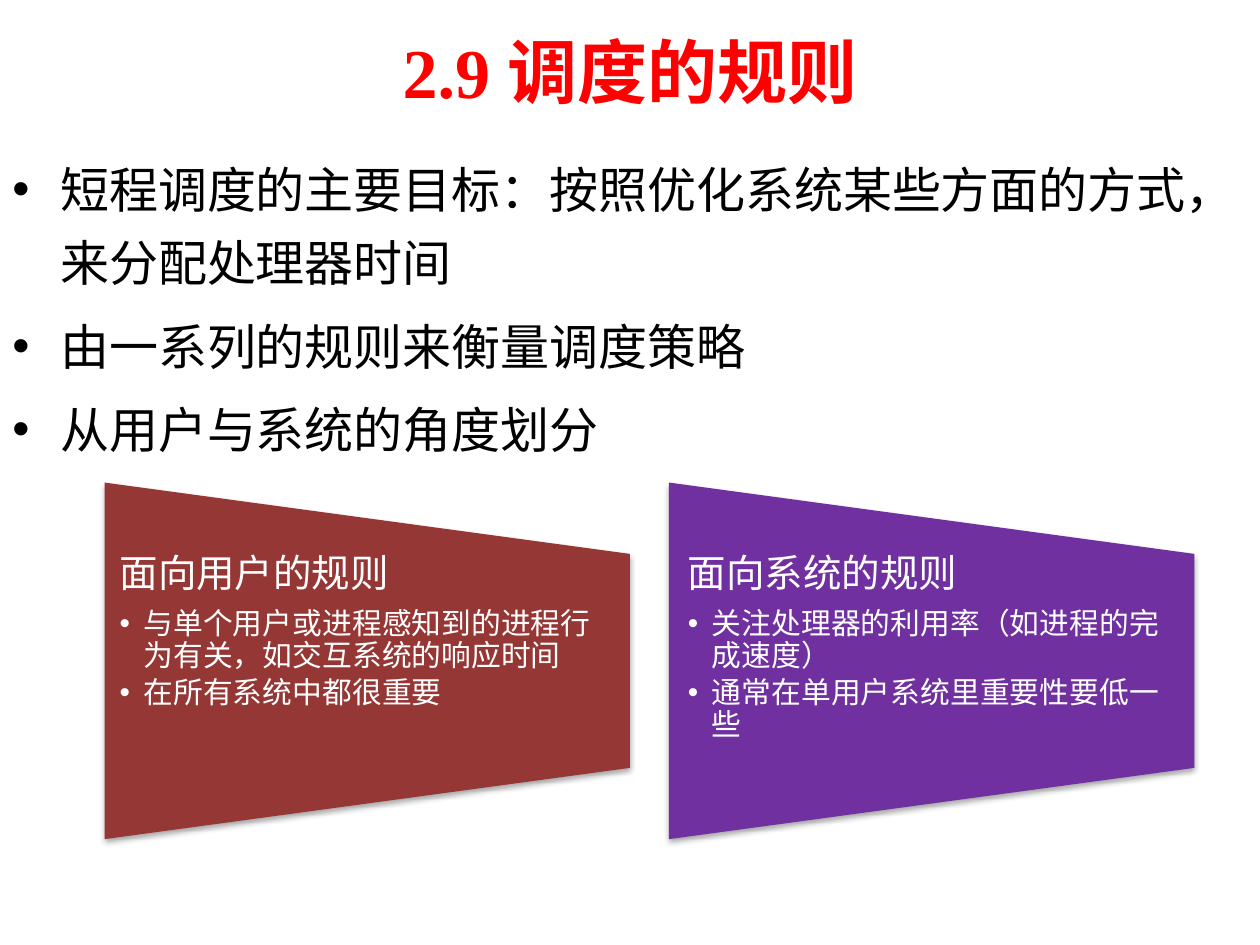
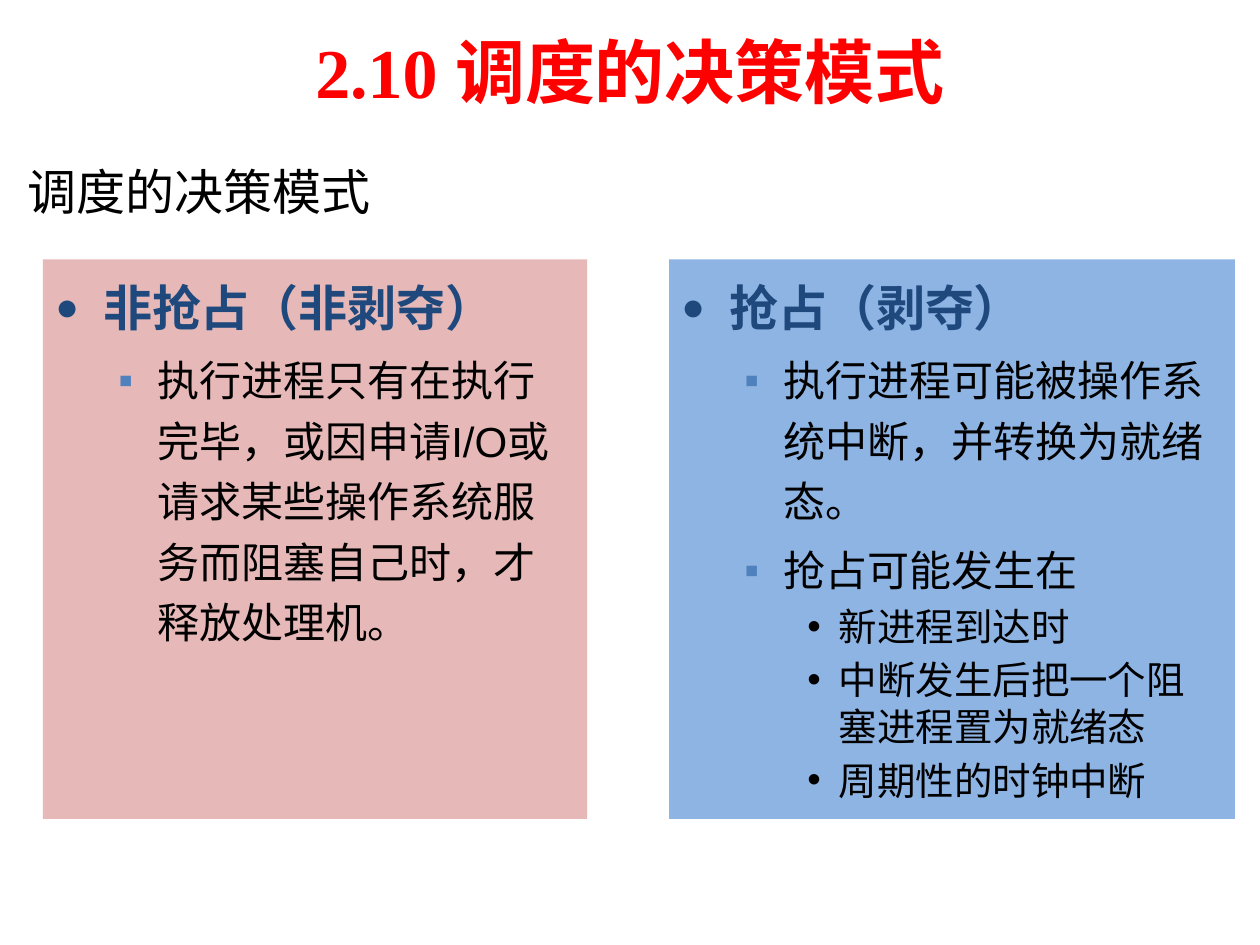
from lxml.etree import SubElement as Sub
from pptx import Presentation
from pptx.dml.color import RGBColor as RGB
from pptx.enum.shapes import MSO_SHAPE as Shape
from pptx.enum.text import MSO_ANCHOR as Anchor, PP_ALIGN as Align
from pptx.oxml.ns import qn
from pptx.util import Inches, Pt

HUES = {"title": "FF0000", "text": "000000", "light": "FFFFFF", "head": "1F497D",
        "mark": "4F81BD", "user": "953735", "system": "7030A0",
        "keep": "E6B9B8", "seize": "8EB4E3"}

STYLES = {
    "goal": dict(size=28, face="Times New Roman", hue="text", line=1.25, before=0.2,
                 left=0.38, hang=0.38, mark="•"),
    "lead": dict(size=28, face="Times New Roman", hue="text", before=0.2),
    "card": dict(size=22, face="Calibri", hue="light", line=0.9, after=0.35),
    "note": dict(size=17, face="Calibri", hue="light", line=0.9, after=0.15,
                 level=1, left=0.19, hang=0.19, mark="•"),
    "mode": dict(size=28, face="Arial", hue="head", bold=True, line=1.2, before=0.2,
                 left=0.38, hang=0.38, mark="●", scale=80),
    "rule": dict(size=24, face="Arial", hue="text", line=1.2, before=0.2,
                 level=1, left=0.81, hang=0.31, mark="▪", tint="mark"),
    "case": dict(size=22, face="Arial", hue="text", before=0.2,
                 level=2, left=1.25, hang=0.25, mark="•", tint="text"),
}

GOALS = [
    ("goal", "短程调度的主要目标：按照优化系统某些方面的方式，来分配处理器时间"),
    ("goal", "由一系列的规则来衡量调度策略"),
    ("goal", "从用户与系统的角度划分"),
]
CARDS = [
    ("user", 0.12, [
        ("card", "面向用户的规则"),
        ("note", "与单个用户或进程感知到的进程行为有关，如交互系统的响应时间"),
        ("note", "在所有系统中都很重要")]),
    ("system", 0.15, [
        ("card", "面向系统的规则"),
        ("note", "关注处理器的利用率（如进程的完成速度）"),
        ("note", "通常在单用户系统里重要性要低一些")]),
]
LEAD = [("lead", "调度的决策模式")]
MODES = [
    ("keep", 0.34, 4.32, [
        ("mode", "非抢占（非剥夺）"),
        ("rule", "执行进程只有在执行完毕，或因申请I/O或请求某些操作系统服务而阻塞自己时，才释放处理机。")]),
    ("seize", 5.31, 4.49, [
        ("mode", "抢占（剥夺）"),
        ("rule", "执行进程可能被操作系统中断，并转换为就绪态。"),
        ("rule", "抢占可能发生在"),
        ("case", "新进程到达时"),
        ("case", "中断发生后把一个阻塞进程置为就绪态"),
        ("case", "周期性的时钟中断")]),
]
CARD_W, CARD_H, CARD_X, CARD_Y, CARD_STEP = 4.17, 2.83, 0.83, 3.83, 4.48


def color(key):
    return RGB.from_string(HUES[key])


def set_mark(para, style):
    props = para._p.get_or_add_pPr()
    props.set("marL", str(Inches(style["left"])))
    props.set("indent", str(-Inches(style["hang"])))
    if "tint" in style:
        Sub(Sub(props, qn("a:buClr")), qn("a:srgbClr"), val=HUES[style["tint"]])
    if "scale" in style:
        Sub(props, qn("a:buSzPct"), val=str(style["scale"] * 1000))
    Sub(props, qn("a:buFont"), typeface="Arial")
    Sub(props, qn("a:buChar"), char=style["mark"])


def set_font(para, size, face, hue, bold=False):
    font = para.font
    font.size, font.name, font.bold = Pt(size), face, bold
    font.color.rgb = color(hue)


def write(frame, items, inset=0.1, edge=0.05):
    frame.word_wrap = True
    frame.vertical_anchor = Anchor.TOP
    frame.margin_left = frame.margin_right = Inches(inset)
    frame.margin_top = frame.margin_bottom = Inches(edge)
    for i, (key, text) in enumerate(items):
        style = STYLES[key]
        para = frame.add_paragraph() if i else frame.paragraphs[0]
        para.text = text
        para.level = style.get("level", 0)
        para.alignment = Align.LEFT
        if "mark" in style:
            set_mark(para, style)
        para.line_spacing = style.get("line", 1.0)
        para.space_before = Pt(style["size"] * style.get("before", 0) if i else 0)
        para.space_after = Pt(style["size"] * style.get("after", 0))
        set_font(para, style["size"], style["face"], style["hue"], style.get("bold", False))


def add_text(slide, box, items, **gaps):
    write(slide.shapes.add_textbox(*map(Inches, box)).text_frame, items, **gaps)


def add_fill(slide, kind, box, hue):
    shape = slide.shapes.add_shape(kind, *map(Inches, box))
    shape.shadow.inherit = False
    shape.fill.solid()
    shape.fill.fore_color.rgb = color(hue)
    shape.line.fill.background()
    return shape


def add_shade(shape):
    effects = shape._element.spPr.find(qn("a:effectLst"))
    shade = Sub(effects, qn("a:outerShdw"), blurRad=str(Pt(3.1)), dist=str(Pt(1.8)),
                dir="5400000", rotWithShape="0")
    tone = Sub(shade, qn("a:srgbClr"), val=HUES["text"])
    Sub(tone, qn("a:alpha"), val="35000")


def add_slide(deck, text):
    slide = deck.slides.add_slide(deck.slide_layouts[5])
    title = slide.shapes.title
    title.left, title.top, title.width, title.height = map(Inches, (0.5, 0.05, 9, 1.02))
    title.text_frame.text = text
    title.text_frame.vertical_anchor = Anchor.MIDDLE
    para = title.text_frame.paragraphs[0]
    para.alignment = Align.CENTER
    set_font(para, 40, "Times New Roman", "title", True)
    return slide


def add_rules(deck):
    slide = add_slide(deck, "2.9 调度的规则")
    add_text(slide, (0, 1.1, 10, 1.86), GOALS)
    shift = (CARD_W - CARD_H) / 2
    for i, (hue, inset, items) in enumerate(CARDS):
        x = CARD_X + i * CARD_STEP
        box = (x + shift, CARD_Y - shift, CARD_H, CARD_W)
        shape = add_fill(slide, Shape.FLOWCHART_MANUAL_OPERATION, box, hue)
        shape.rotation = 270
        add_shade(shape)
        add_text(slide, (x, CARD_Y + CARD_H / 5, CARD_W, CARD_H * 0.6), items,
                 inset=inset, edge=0)


def add_modes(deck):
    slide = add_slide(deck, "2.10 调度的决策模式")
    add_text(slide, (0.12, 1.23, 9, 0.47), LEAD)
    for hue, x, width, items in MODES:
        shape = add_fill(slide, Shape.RECTANGLE, (x, 2.06, width, 4.44), hue)
        write(shape.text_frame, items)


def main():
    deck = Presentation()
    deck.slide_width, deck.slide_height = Inches(10), Inches(7.5)
    add_rules(deck)
    add_modes(deck)
    deck.save("out.pptx")


if __name__ == "__main__":
    main()
